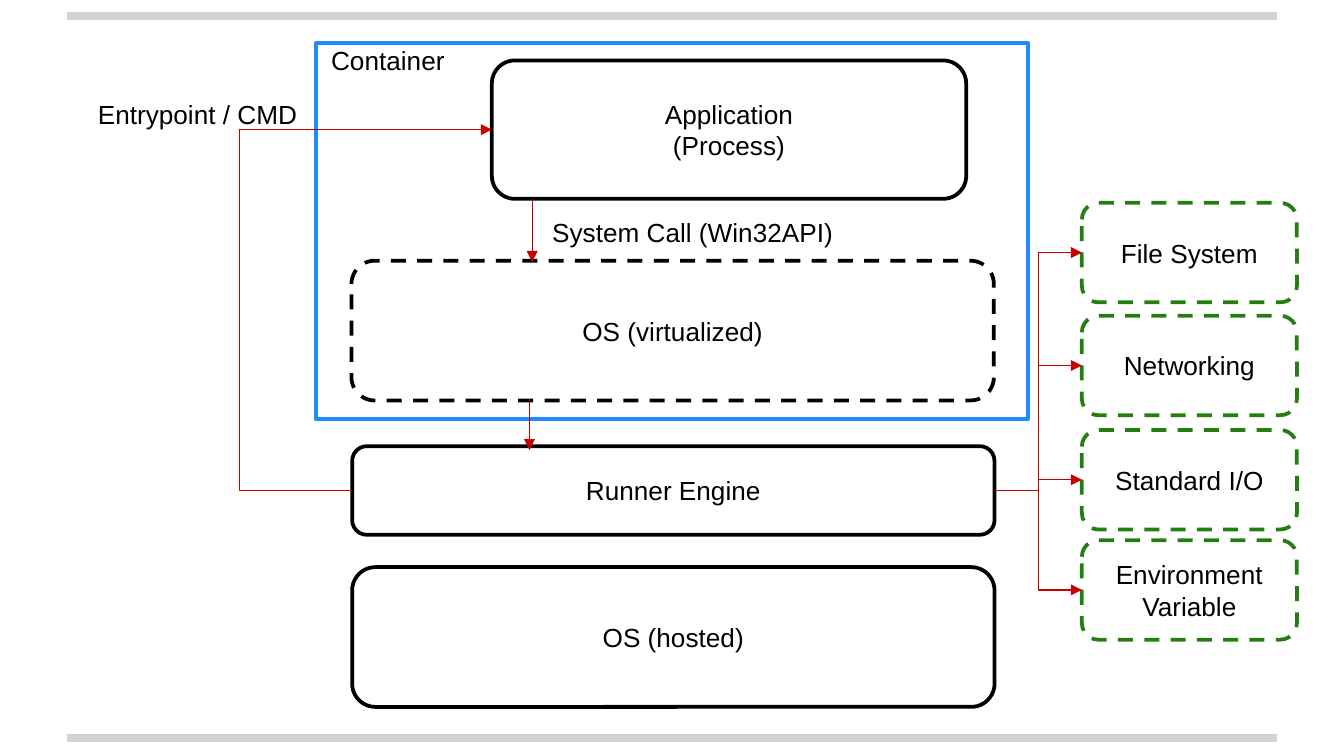
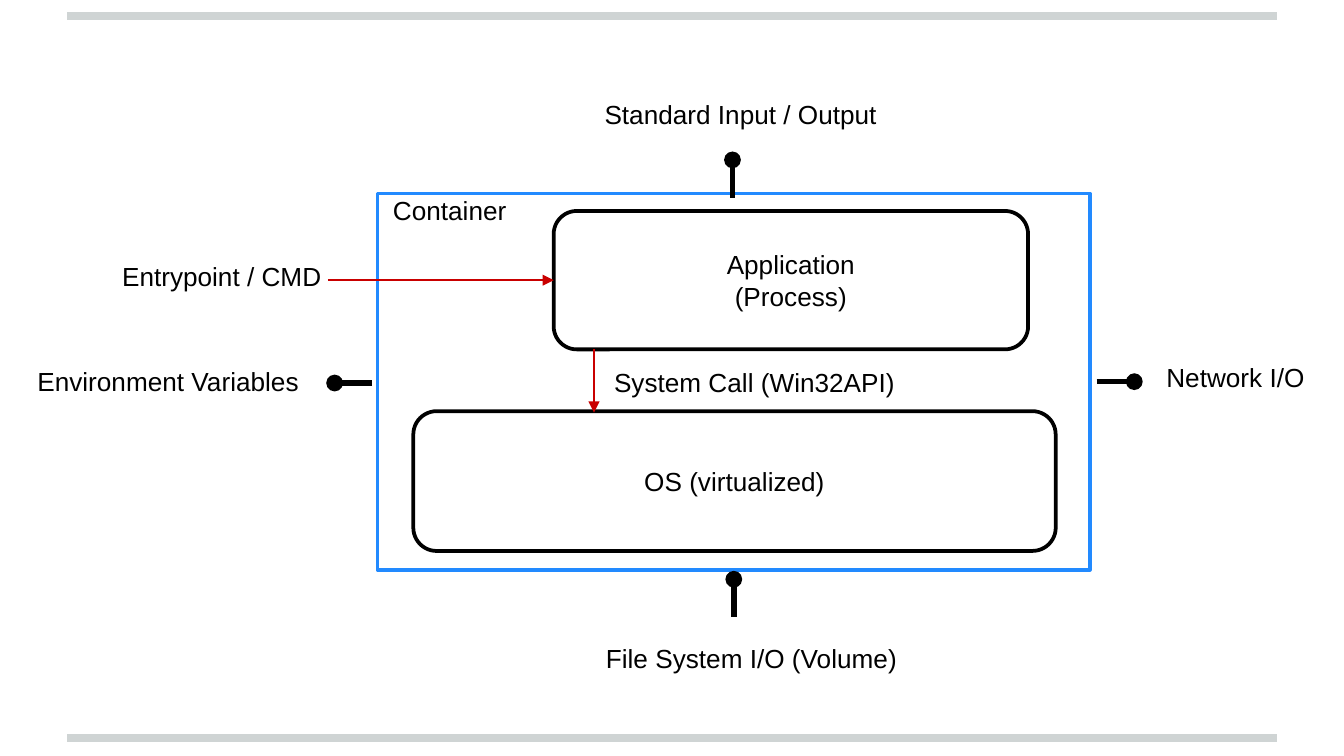
from lxml.etree import SubElement
from pptx import Presentation
from pptx.dml.color import RGBColor
from pptx.enum.dml import MSO_LINE
from pptx.enum.shapes import MSO_CONNECTOR as CONN, MSO_SHAPE as SHAPE
from pptx.enum.text import MSO_ANCHOR as ANCHOR, MSO_AUTO_SIZE as AUTO, PP_ALIGN as ALIGN
from pptx.oxml.ns import qn
from pptx.util import Emu, Pt

PX = 4572
WIDTH, HEIGHT = 2000, 1125
COLORS = {"text": "000000", "paper": "FFFFFF", "bar": "CFD4D4", "box": "000000",
          "container": "228AFF", "resource": "257E12", "arrow": "C90000", "pin": "000000"}
FONT = {"name": "Arial", "size": Pt(14)}
LEFT, RIGHT = 1, 3


def px(*values):
    """Turn px lengths into EMU."""
    return [Emu(v * PX) for v in values]


def rgb(name):
    """Look up a named colour."""
    return RGBColor.from_string(COLORS[name])


def set_attrs(target, **values):
    """Set several attributes on one object."""
    for name, value in values.items():
        setattr(target, name, value)


def write(tf, text, align):
    """Fill a text frame, one paragraph for each line."""
    for i, line in enumerate(text.split("\n")):
        p = tf.paragraphs[0] if i == 0 else tf.add_paragraph()
        p.alignment = align
        r = p.add_run()
        r.text = line
        set_attrs(r.font, **FONT)
        r.font.color.rgb = rgb("text")


def add_box(s, x, y, w, h, text="", color="box", dashed=False, kind=SHAPE.ROUNDED_RECTANGLE):
    """Add an outlined box, filled with paper when it holds text."""
    sp = s.shapes.add_shape(kind, *px(x, y, w, h))
    sp.shadow.inherit = False
    sp.line.color.rgb = rgb(color)
    sp.line.width = Pt(2)
    if dashed:
        sp.line.dash_style = MSO_LINE.DASH
    if text:
        sp.fill.solid()
        sp.fill.fore_color.rgb = rgb("paper")
        sp.text_frame.vertical_anchor = ANCHOR.MIDDLE
        write(sp.text_frame, text, ALIGN.CENTER)
    else:
        sp.fill.background()
    return sp


def add_label(s, x, y, w, text, wrap=False):
    """Add a one-line text label."""
    tf = s.shapes.add_textbox(*px(x, y, w, 68)).text_frame
    set_attrs(tf, word_wrap=wrap, auto_size=AUTO.SHAPE_TO_FIT_TEXT)
    write(tf, text, ALIGN.LEFT)


def add_line(s, start, end, color="arrow", width=0.75, tip="triangle", kind=CONN.STRAIGHT):
    """Add a connector with an optional tip at its end."""
    c = s.shapes.add_connector(kind, *px(*start, *end))
    c.line.color.rgb = rgb(color)
    c.line.width = Pt(width)
    if tip:
        SubElement(c.line._ln, qn("a:tailEnd"), type=tip)
    SubElement(c._element.spPr, qn("a:effectLst"))
    return c


def add_elbow(s, source, source_side, target, bend=None):
    """Join a side of one box to the left of another with an elbow arrow."""
    c = add_line(s, (0, 0), (0, 0), kind=CONN.ELBOW)
    c.begin_connect(source, source_side)
    c.end_connect(target, LEFT)
    if bend is not None:
        guides = c._element.spPr.find(qn("a:prstGeom")).get_or_add_avLst()
        SubElement(guides, qn("a:gd"), name="adj1", fmla=f"val {bend}")


def add_bars(s):
    """Draw the grey bars at the top and bottom of the slide."""
    for y in (24, 1098):
        add_line(s, (100, y), (WIDTH - 100, y), "bar", 4, tip=None)


def add_container(s, x, y, dashed=False):
    """Draw the container with its parts and return the application box."""
    app = add_box(s, x + 262, y + 26, 706, 206, "Application\n(Process)")
    add_box(s, x + 53, y + 324, 956, 208, "OS (virtualized)", dashed=dashed)
    add_line(s, (x + 322, y + 232), (x + 322, y + 326))
    add_label(s, x + 332, y + 248, 462, "System Call (Win32API)")
    add_box(s, x, y, 1060, 560, color="container", kind=SHAPE.RECTANGLE)
    add_label(s, x + 3, y - 8, 210, "Container")
    return app


def add_resources(s, x, y, engine):
    """Stack the resource boxes and link each to the engine."""
    rows = ((0, "File System"), (168, "Networking"), (338, "Standard I/O"),
            (502, "Environment\nVariable"))
    for top, text in rows:
        box = add_box(s, x, y + top, 320, 148, text, "resource", dashed=True)
        add_elbow(s, engine, RIGHT, box)


def add_host(s, x, y):
    """Draw the host layers and return the engine box."""
    add_box(s, x, y + 180, 956, 208, "OS (hosted)")
    engine = add_box(s, x, y, 956, 132, "Runner Engine")
    add_line(s, (x + 264, y - 70), (x + 264, y + 6))
    return engine


def add_pins(s):
    """Draw the labelled ports around the container."""
    ports = (((1090, 294), (1090, 238), (880, 136, 448), "Standard Input / Output"),
             ((1632, 568), (1688, 568), (1716, 528, 248), "Network I/O"),
             ((1092, 918), (1092, 862), (882, 946, 478), "File System I/O (Volume)"),
             ((554, 570), (498, 570), (36, 534, 434), "Environment Variables"))
    for start, end, place, text in ports:
        add_line(s, start, end, "pin", 3, "oval")
        add_label(s, *place, text)


def engine_slide(s):
    """Build the slide on how the engine runs a container."""
    add_bars(s)
    app = add_container(s, 470, 64, dashed=True)
    engine = add_host(s, 524, 664)
    add_resources(s, 1610, 302, engine)
    add_elbow(s, engine, LEFT, app, bend=-80400)
    add_label(s, 126, 136, 444, "Entrypoint / CMD", wrap=True)


def ports_slide(s):
    """Build the slide on the ports of a container."""
    add_bars(s)
    app = add_container(s, 562, 288)
    add_pins(s)
    add_line(s, (488, 417), (824, 417)).end_connect(app, LEFT)
    add_label(s, 162, 378, 338, "Entrypoint / CMD")


def main():
    """Build and save the presentation."""
    prs = Presentation()
    prs.slide_width, prs.slide_height = px(WIDTH, HEIGHT)
    for build in (engine_slide, ports_slide):
        build(prs.slides.add_slide(prs.slide_layouts[6]))
    prs.save("out.pptx")


if __name__ == "__main__":
    main()
